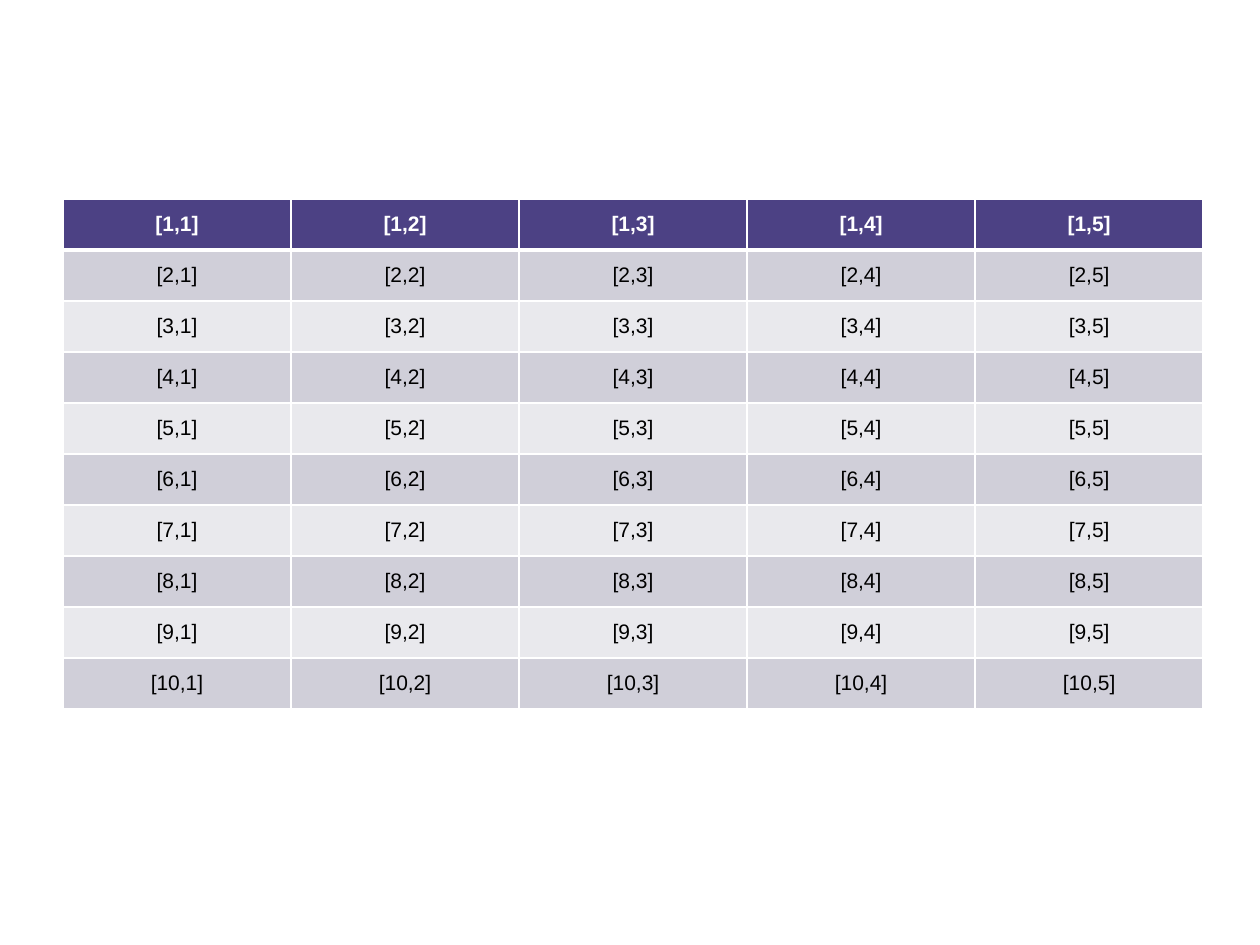
"""Build a slide with a banded table of row and column indices."""
from dataclasses import dataclass

from lxml import etree
from pptx import Presentation
from pptx.dml.color import RGBColor
from pptx.enum.text import MSO_ANCHOR, PP_ALIGN
from pptx.oxml.ns import qn
from pptx.table import _Cell
from pptx.util import Pt

MIDDLE = MSO_ANCHOR.MIDDLE
CENTER = PP_ALIGN.CENTER


@dataclass(frozen=True)
class Theme:
    font: str = "Arial"
    size: float = 12
    head: str = "4C4184"
    dark: str = "D0CFD9"
    light: str = "E9E9ED"
    white: str = "FFFFFF"
    black: str = "000000"
    thin: float = 1
    thick: float = 3


@dataclass(frozen=True)
class Grid:
    left: float
    top: float
    height: float
    rows: int
    cols: int
    row: float
    col: float


@dataclass(frozen=True)
class Style:
    fill: str
    ink: str
    bold: bool
    above: float
    below: float


THEME = Theme()
GRID = Grid(left=36, top=113.76, height=367.2, rows=10, cols=5, row=29.16, col=130.32)


def pick(row: int) -> Style:
    if row == 1:
        return Style(THEME.head, THEME.white, True, THEME.thin, THEME.thick)
    fill = THEME.light if row % 2 else THEME.dark
    above = THEME.thick if row == 2 else THEME.thin
    return Style(fill, THEME.black, False, above, THEME.thin)


def edge(cell: _Cell, style: Style) -> None:
    props = cell._tc.get_or_add_tcPr()
    widths = {"L": THEME.thin, "R": THEME.thin, "T": style.above, "B": style.below}
    for side, width in widths.items():
        line = etree.SubElement(props, qn(f"a:ln{side}"), w=str(Pt(width)))
        solid = etree.SubElement(line, qn("a:solidFill"))
        etree.SubElement(solid, qn("a:srgbClr"), val=THEME.white)


def draw(cell: _Cell, text: str, style: Style) -> None:
    edge(cell, style)
    cell.fill.solid()
    cell.fill.fore_color.rgb = RGBColor.from_string(style.fill)
    cell.vertical_anchor = MIDDLE
    para = cell.text_frame.paragraphs[0]
    para.alignment = CENTER
    run = para.add_run()
    run.text = text
    form = {"name": THEME.font, "size": Pt(THEME.size), "bold": style.bold}
    for name, value in form.items():
        setattr(run.font, name, value)
    run.font.color.rgb = RGBColor.from_string(style.ink)


def place(slide, grid: Grid) -> None:
    frame = slide.shapes.add_table(
        grid.rows, grid.cols, Pt(grid.left), Pt(grid.top),
        Pt(grid.cols * grid.col), Pt(grid.height),
    )
    table = frame.table
    for col in table.columns:
        col.width = Pt(grid.col)
    for i, row in enumerate(table.rows, 1):
        row.height = Pt(grid.row)
        for j, cell in enumerate(row.cells, 1):
            draw(cell, f"[{i},{j}]", pick(i))
    frame.height = Pt(grid.height)


def main() -> None:
    deck = Presentation()
    deck.slide_width, deck.slide_height = Pt(720), Pt(540)
    slide = deck.slides.add_slide(deck.slide_layouts[6])
    place(slide, GRID)
    deck.save("out.pptx")


if __name__ == "__main__":
    main()
